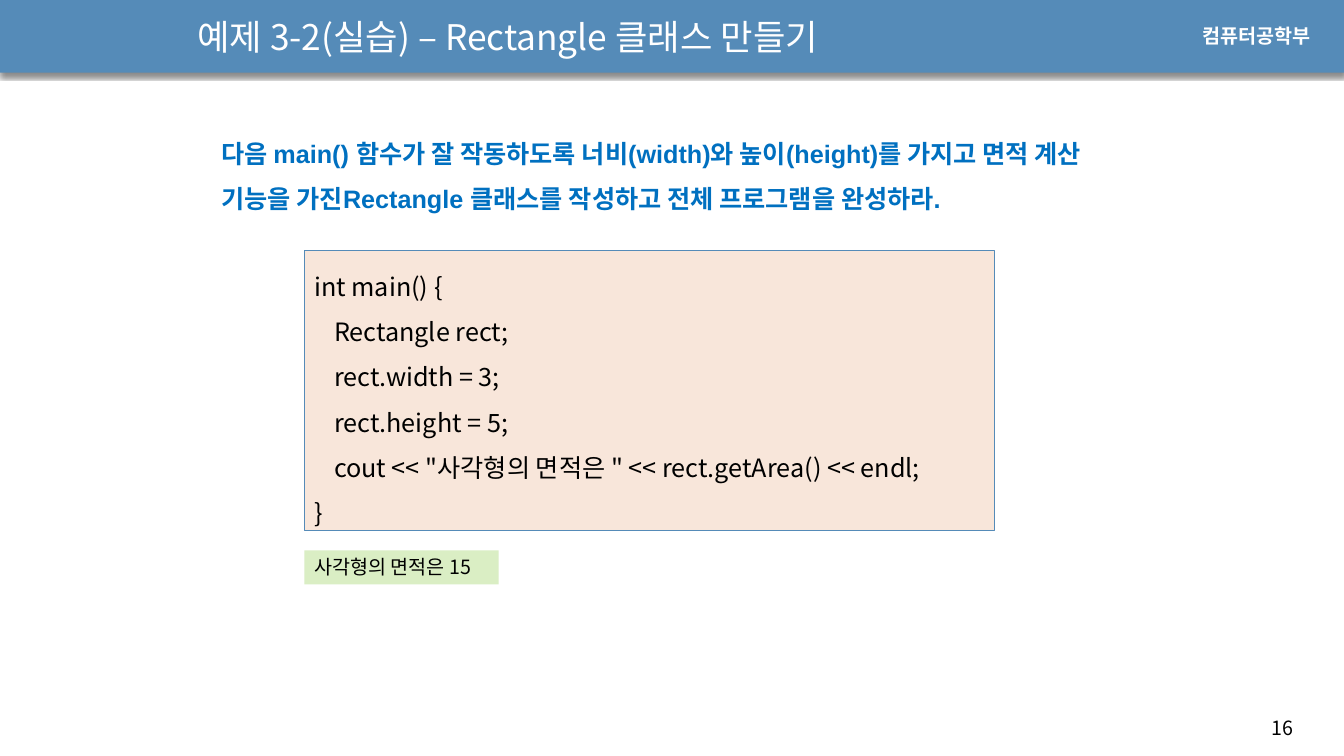
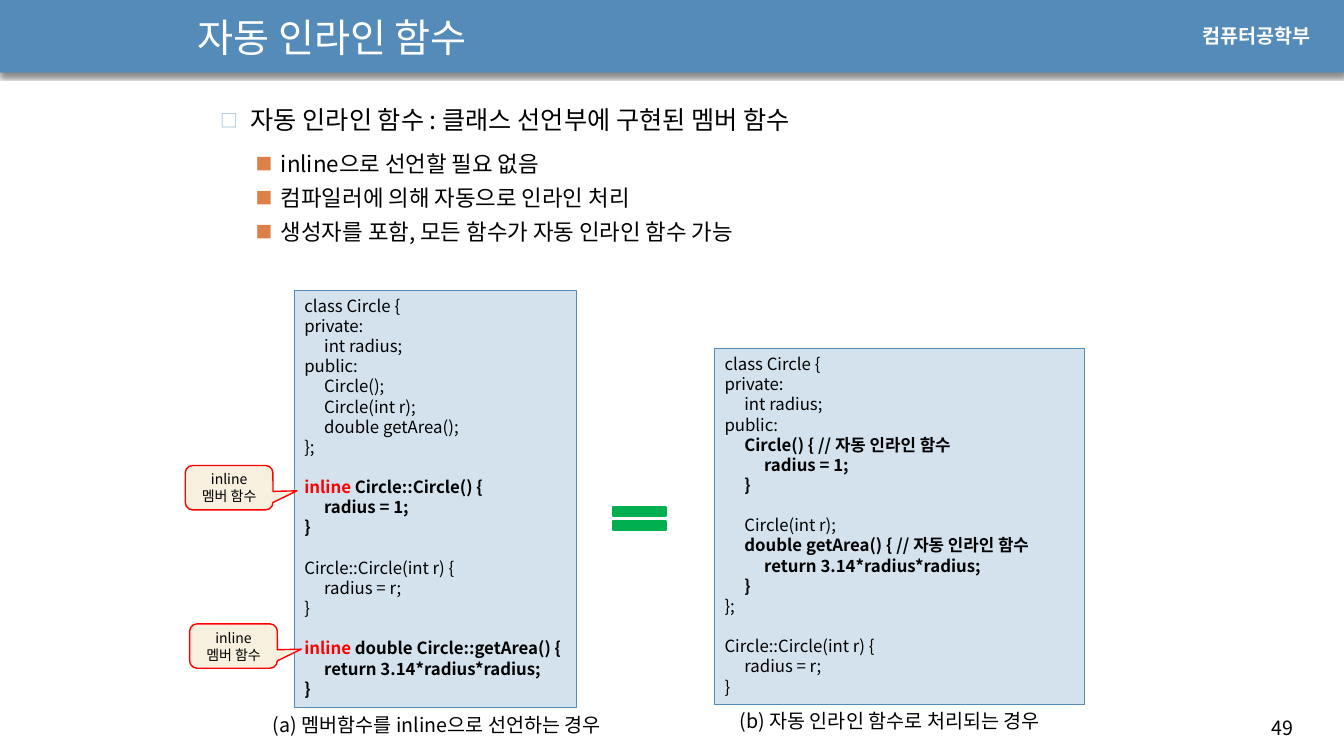
from lxml.etree import SubElement
from pptx import Presentation
from pptx.dml.color import RGBColor
from pptx.enum.shapes import MSO_SHAPE as Preset
from pptx.enum.text import MSO_ANCHOR as Anchor, PP_ALIGN as Align
from pptx.oxml.ns import qn
from pptx.util import Cm, Pt

BLACK = RGBColor(0x00, 0x00, 0x00)
WHITE = RGBColor(0xFF, 0xFF, 0xFF)
RED = RGBColor(0xFF, 0x00, 0x00)
GREEN = RGBColor(0x00, 0xB0, 0x50)
BAND_BLUE = RGBColor(0x55, 0x8B, 0xB8)
PROMPT_BLUE = RGBColor(0x00, 0x70, 0xC0)
PALE_BLUE = RGBColor(0xD4, 0xE2, 0xED)
PALE_ORANGE = RGBColor(0xF8, 0xE6, 0xDA)
PALE_GREEN = RGBColor(0xDA, 0xEE, 0xC4)
CREAM = RGBColor(0xF7, 0xF0, 0xDE)
BULLET_BLUE = RGBColor(0x94, 0xB6, 0xD2)
BULLET_ORANGE = RGBColor(0xDD, 0x80, 0x47)

KOREAN_FONT = "Noto Sans CJK KR"
LINE_HEIGHT = 1.2
TAB_STOP = Cm(0.5)

TOPIC = {"indent": (1.78, 0.76), "size": 18, "after": 6,
         "bullet": ("□", BULLET_BLUE, 70)}
DETAIL = {"indent": (2.54, 0.64), "size": 16, "before": 5,
          "bullet": ("■", BULLET_ORANGE, 75)}

# Each block of code is (bold, text); an empty line becomes space before the next.
MAIN_CODE = [(False, """int main() {
    Rectangle rect;
    rect.width = 3;
    rect.height = 5;
    cout << "사각형의 면적은 " << rect.getArea() << endl;
}""")]

INLINE_CODE = [
    (False, """class Circle {
private:
    int radius;
public:
    Circle();
    Circle(int r);
    double getArea();
};"""),
    (True, """
inline Circle::Circle() {
    radius = 1;
}"""),
    (False, """
Circle::Circle(int r) {
    radius = r;
}"""),
    (True, """
inline double Circle::getArea() {
    return 3.14*radius*radius;
}"""),
]

AUTO_INLINE_CODE = [
    (False, """class Circle {
private:
    int radius;
public:"""),
    (True, """    Circle() { // 자동 인라인 함수
        radius = 1;
    }"""),
    (False, """
    Circle(int r);"""),
    (True, """    double getArea() { // 자동 인라인 함수
        return 3.14*radius*radius;
    }"""),
    (False, """};

Circle::Circle(int r) {
    radius = r;
}"""),
]


def add_run(paragraph, text, size, color=BLACK, bold=False, name=KOREAN_FONT):
    run = paragraph.add_run()
    run.text = text
    values = {"size": Pt(size), "bold": bold, "name": name}
    for attribute, value in values.items():
        setattr(run.font, attribute, value)
    run.font.color.rgb = color
    SubElement(run._r.get_or_add_rPr(), qn("a:ea"), typeface=KOREAN_FONT)


def next_paragraph(frame, size, spacing=1, before=0, after=0, align=Align.LEFT):
    """Return the frame's first paragraph while unused, otherwise a new one."""
    first = frame.paragraphs[0]
    paragraph = frame.add_paragraph() if first.runs else first
    values = {"alignment": align, "line_spacing": Pt(size * LINE_HEIGHT * spacing),
              "space_before": Pt(before), "space_after": Pt(after)}
    for attribute, value in values.items():
        setattr(paragraph, attribute, value)
    return paragraph


def add_text(slide, box, text, size=14, spacing=1, **font):
    text_box = slide.shapes.add_textbox(*map(Cm, box))
    text_box.text_frame.word_wrap = True
    add_run(next_paragraph(text_box.text_frame, size, spacing), text, size, **font)


def add_panel(slide, box, fill, line=None, width=0.75, preset=Preset.RECTANGLE):
    shape = slide.shapes.add_shape(preset, *map(Cm, box))
    shape.shadow.inherit = False
    shape.fill.solid()
    shape.fill.fore_color.rgb = fill
    if line is None:
        shape.line.fill.background()
    else:
        shape.line.color.rgb = line
        shape.line.width = Pt(width)
    shape.text_frame.vertical_anchor = Anchor.TOP
    return shape


def add_tab_stops(paragraph, count=2):
    tabs = SubElement(paragraph._p.get_or_add_pPr(), qn("a:tabLst"))
    for number in range(1, count + 1):
        SubElement(tabs, qn("a:tab"), pos=str(TAB_STOP * number), algn="l")


def add_code(slide, box, blocks, fill, size=12, spacing=1):
    """Draw a code panel; a leading "inline" keyword is red."""
    frame = add_panel(slide, box, fill, BAND_BLUE).text_frame
    gap = 0
    for bold, block in blocks:
        for line in block.splitlines():
            if not line:
                gap = size * LINE_HEIGHT
                continue
            paragraph = next_paragraph(frame, size, spacing, before=gap)
            add_tab_stops(paragraph)
            gap = 0
            rest = line.replace("    ", "\t")
            if rest.startswith("inline"):
                add_run(paragraph, "inline", size, RED, bold)
                rest = rest.removeprefix("inline")
            add_run(paragraph, rest, size, bold=bold)


def add_bullet(frame, text, style):
    size = style["size"]
    paragraph = next_paragraph(frame, size, before=style.get("before", 0),
                               after=style.get("after", 0))
    margin, hanging = style["indent"]
    character, color, percent = style["bullet"]
    properties = paragraph._p.get_or_add_pPr()
    properties.set("marL", str(Cm(margin)))
    properties.set("indent", str(-Cm(hanging)))
    bullet_color = SubElement(properties, qn("a:buClr"))
    SubElement(bullet_color, qn("a:srgbClr"), val=str(color))
    SubElement(properties, qn("a:buSzPct"), val=str(percent * 1000))
    SubElement(properties, qn("a:buFont"), typeface=KOREAN_FONT)
    SubElement(properties, qn("a:buChar"), char=character)
    add_run(paragraph, text, size)


def add_callout(slide, left, top):
    callout = add_panel(slide, (left, top, 2.21, 1.12), CREAM, RED, 1,
                        Preset.ROUNDED_RECTANGULAR_CALLOUT)
    for index, value in enumerate((0.773, 0.071, 0.167)):
        callout.adjustments[index] = value
    frame = callout.text_frame
    frame.vertical_anchor = Anchor.MIDDLE
    for text in ("inline", "멤버 함수"):
        add_run(next_paragraph(frame, 10, align=Align.CENTER), text, 10)


def add_band_shadow(band):
    effects = band._element.spPr.find(qn("a:effectLst"))
    shadow = SubElement(effects, qn("a:outerShdw"), blurRad=str(Pt(3)),
                        dist=str(Pt(2.4)), dir="5400000", rotWithShape="0")
    color = SubElement(shadow, qn("a:srgbClr"), val=str(BLACK))
    SubElement(color, qn("a:alpha"), val="45000")


def add_slide(presentation, title_text, number, title_size=28):
    """Add a slide with the shared band, title, department and page number."""
    slide = presentation.slides.add_slide(presentation.slide_layouts[5])
    band = add_panel(slide, (0, 0, 33.87, 1.83), BAND_BLUE)
    add_band_shadow(band)
    title = slide.shapes.title
    title._element.addprevious(band._element)
    box = {"left": 4.72, "top": 0.13, "width": 18.8, "height": 1.6}
    for attribute, value in box.items():
        setattr(title, attribute, Cm(value))
    title.text_frame.vertical_anchor = Anchor.MIDDLE
    paragraph = next_paragraph(title.text_frame, title_size)
    add_run(paragraph, title_text, title_size, WHITE)
    add_text(slide, (30.05, 0.48, 3.48, 0.86), "컴퓨터공학부",
             color=WHITE, bold=True, name="Arial")
    add_text(slide, (31.8, 17.91, 1.8, 0.86), str(number))
    return slide


def build_exercise(presentation):
    slide = add_slide(presentation, "예제 3-2(실습) – Rectangle 클래스 만들기", 16, 25.2)
    add_text(slide, (5.33, 2.97, 23.19, 2.41),
             "다음 main() 함수가 잘 작동하도록 너비(width)와 높이(height)를 가지고 면적 "
             "계산 기능을 가진Rectangle 클래스를 작성하고 전체 프로그램을 완성하라.",
             18, 1.5, color=PROMPT_BLUE, bold=True, name="Arial")
    add_code(slide, (7.67, 6.32, 17.4, 7.04), MAIN_CODE, PALE_ORANGE, 18, 1.5)
    output = add_panel(slide, (7.67, 13.87, 4.9, 0.86), PALE_GREEN)
    add_run(next_paragraph(output.text_frame, 14), "사각형의 면적은 15", 14)


def build_inline_functions(presentation):
    slide = add_slide(presentation, "자동 인라인 함수", 49)
    body = slide.shapes.add_textbox(Cm(4.29), Cm(2.51), Cm(28.19), Cm(4.5))
    body.text_frame.word_wrap = True
    add_bullet(body.text_frame, "자동 인라인 함수 : 클래스 선언부에 구현된 멤버 함수", TOPIC)
    for text in ("inline으로 선언할 필요 없음",
                 "컴파일러에 의해 자동으로 인라인 처리",
                 "생성자를 포함, 모든 함수가 자동 인라인 함수 가능"):
        add_bullet(body.text_frame, text, DETAIL)
    add_code(slide, (18.01, 8.79, 9.32, 8.97), AUTO_INLINE_CODE, PALE_BLUE)
    add_code(slide, (7.42, 7.32, 7.11, 10.52), INLINE_CODE, PALE_BLUE)
    add_text(slide, (6.63, 17.83, 9.47, 0.86), "(a) 멤버함수를 inline으로 선언하는 경우")
    add_text(slide, (18.39, 17.75, 8.97, 0.86), "(b) 자동 인라인 함수로 처리되는 경우")
    add_panel(slide, (15.21, 12.57, 1.8, 0.99), GREEN, GREEN, 1.5, Preset.MATH_EQUAL)
    add_callout(slide, 4.78, 15.72)
    add_callout(slide, 4.67, 11.73)


def main():
    presentation = Presentation()
    presentation.slide_width = Cm(33.87)
    presentation.slide_height = Cm(19.05)
    build_exercise(presentation)
    build_inline_functions(presentation)
    presentation.save("out.pptx")


if __name__ == "__main__":
    main()
